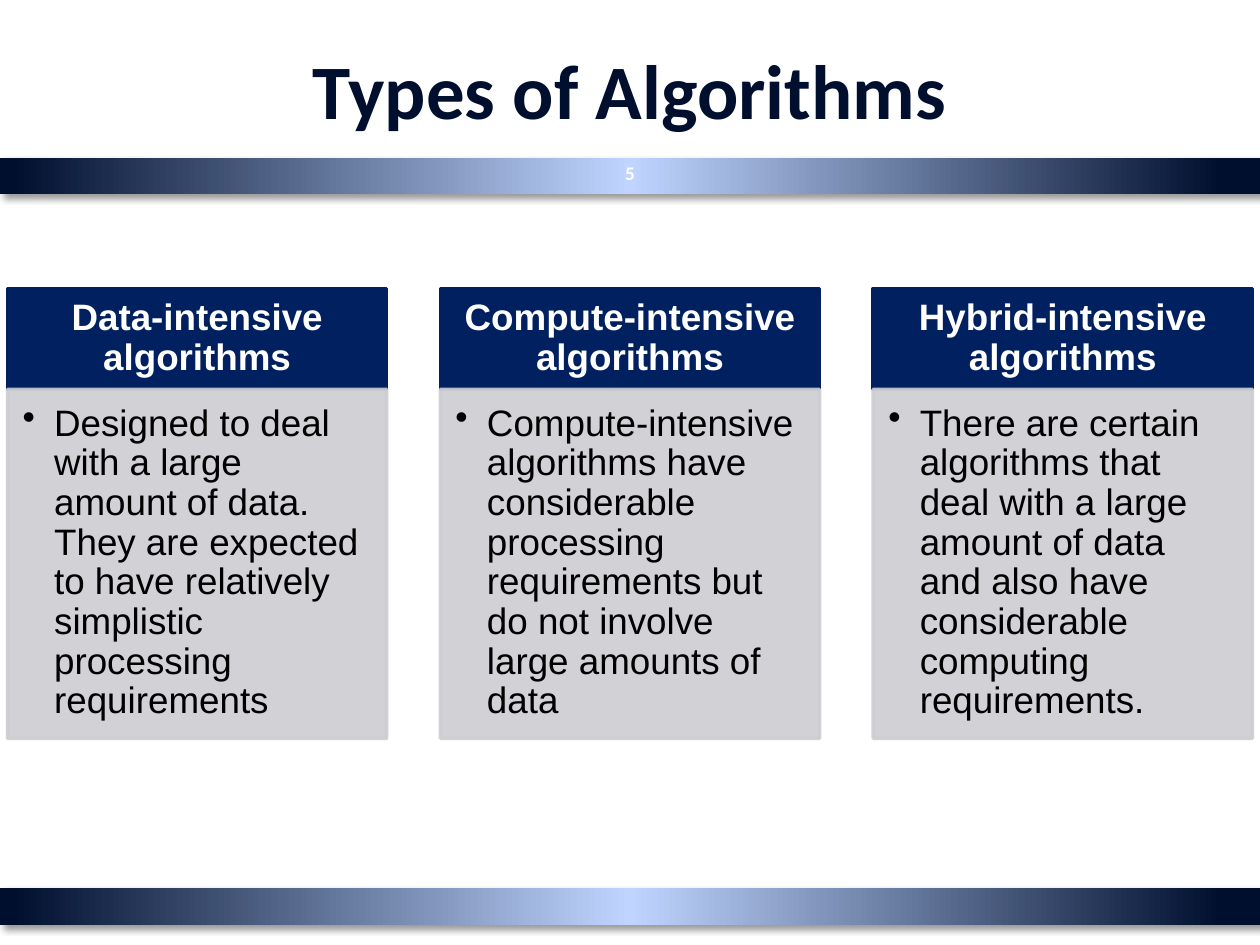
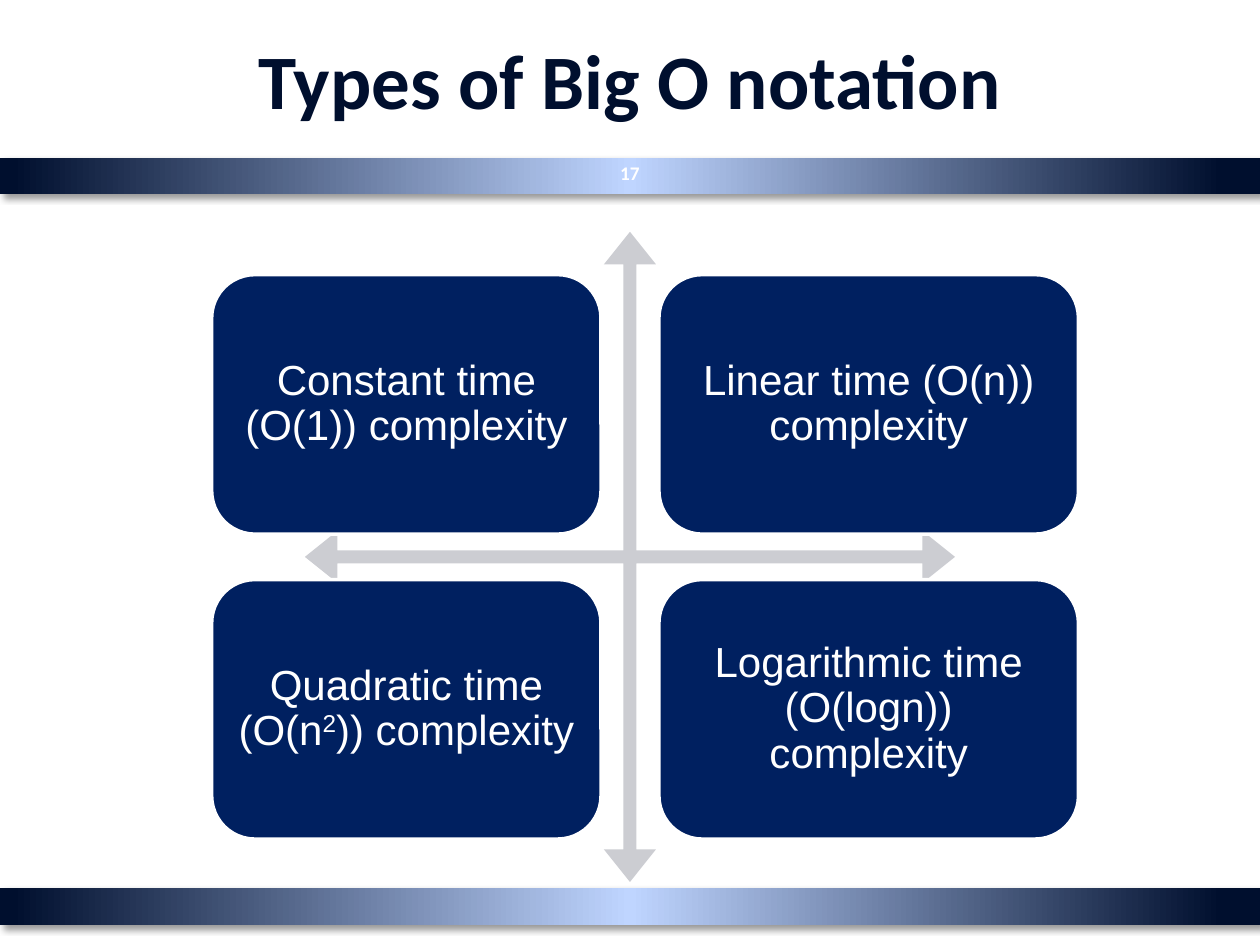
import pptx
import pptx.util
import pptx.dml.color
import pptx.enum.shapes
import pptx.enum.text
import pptx.oxml.ns
from lxml import etree

Inches = pptx.util.Inches
Shape = pptx.enum.shapes.MSO_SHAPE
Align = pptx.enum.text.PP_ALIGN
Anchor = pptx.enum.text.MSO_ANCHOR

NAVY, DARK, PALE = "002060", "000F2E", "BFD5FF"
GREY, WHITE, BLACK = "CCCDD2", "FFFFFF", "000000"
STOPS = [(0, DARK), (3, DARK), (50, PALE), (99, DARK), (100, DARK)]


def color(code):
    """Turn a hex string into a colour."""
    return pptx.dml.color.RGBColor.from_string(code)


def child(node, tag, **attrs):
    """Add a drawing element below a node."""
    attrs = {key: str(val) for key, val in attrs.items()}
    return etree.SubElement(node, pptx.oxml.ns.qn("a:" + tag), attrs)


class Deck:
    """Holds the shared style and the current slide."""

    def __init__(self):
        """Start an empty deck."""
        self.file = pptx.Presentation()
        self.file.slide_width = Inches(10)
        self.file.slide_height = Inches(7.5)
        self.slide = None

    def start(self, title, top, number):
        """Add a slide with its bands, title and page number."""
        self.slide = self.file.slides.add_slide(self.file.slide_layouts[5])
        self.band(7.05)
        self.band(1.25)
        head = self.slide.shapes.title
        head.left, head.top = Inches(0.5), Inches(top)
        head.width, head.height = Inches(9), Inches(1.25)
        self.label(head, title, 44, DARK, "Calibri", bold=True)
        page = self.slide.shapes.add_textbox(
            Inches(4.79), Inches(1.17), Inches(0.42), Inches(0.4))
        self.label(page, number, 11, WHITE, "Calibri", bold=True)

    def shape(self, kind, box, fill=None, line=None):
        """Add a preset shape with a plain fill and outline."""
        item = self.slide.shapes.add_shape(kind, *map(Inches, box))
        item.shadow.inherit = False
        if fill:
            item.fill.solid()
            item.fill.fore_color.rgb = color(fill)
        if line:
            item.line.color.rgb = color(line)
            item.line.width = pptx.util.Pt(2)
        else:
            item.line.fill.background()
        return item

    def band(self, top):
        """Add a full-width gradient band with a soft shadow."""
        item = self.shape(Shape.RECTANGLE, (0, top, 10, 0.29))
        item.fill.gradient()
        item.fill.gradient_angle = 180
        stops = item.element.xpath(".//a:gsLst")[0]
        for old in list(stops):
            stops.remove(old)
        for place, code in STOPS:
            child(child(stops, "gs", pos=place * 1000), "srgbClr", val=code)
        effect = item.element.xpath(".//a:effectLst")[0]
        shade = child(effect, "outerShdw", blurRad=pptx.util.Pt(4),
                      dist=pptx.util.Pt(3), dir=45 * 60000, rotWithShape=0)
        child(child(shade, "srgbClr", val=BLACK), "alpha", val=40000)

    def label(self, item, text, size, ink, face="Arial", bold=False,
              inset=(0.1, 0.05, 0.1, 0.05), space=1.0, bullet=False):
        """Fill a shape with one paragraph; ^marks^ enclose superscripts."""
        frame = item.text_frame
        frame.word_wrap = True
        frame.auto_size = pptx.enum.text.MSO_AUTO_SIZE.NONE
        frame.vertical_anchor = Anchor.TOP if bullet else Anchor.MIDDLE
        (frame.margin_left, frame.margin_top,
         frame.margin_right, frame.margin_bottom) = map(Inches, inset)
        para = frame.paragraphs[0]
        para.alignment = Align.LEFT if bullet else Align.CENTER
        para.line_spacing = space
        if bullet:
            props = para._p.get_or_add_pPr()
            props.set("marL", str(Inches(0.25)))
            props.set("indent", str(Inches(-0.25)))
            child(props, "buChar", char="•")
        font = para.font
        font.name, font.size, font.bold = face, pptx.util.Pt(size), bold
        font.color.rgb = color(ink)
        for index, part in enumerate(text.split("^")):
            run = para.add_run()
            run.text = part
            if index % 2:
                run._r.get_or_add_rPr().set("baseline", "30000")

    def card(self, left, head, body):
        """Add a navy heading box above a grey bulleted box."""
        top = self.shape(Shape.RECTANGLE, (left, 2.29, 3.01, 0.8), NAVY, NAVY)
        self.label(top, head, 21, WHITE, bold=True, space=0.9,
                   inset=(0.16, 0.09, 0.16, 0.09))
        base = self.shape(Shape.RECTANGLE, (left, 3.09, 3.01, 2.77), GREY, GREY)
        for tint in base.element.xpath("./p:spPr//a:srgbClr"):
            child(tint, "alpha", val=90000)
        self.label(base, body, 21, BLACK, space=0.9, bullet=True,
                   inset=(0.12, 0.12, 0.16, 0.18))

    def cross(self, box):
        """Add the thin four-way arrow."""
        item = self.shape(Shape.QUAD_ARROW, box, GREY)
        for index, value in enumerate((0.02, 0.04, 0.05)):
            item.adjustments[index] = value

    def tile(self, box, text):
        """Add a rounded navy tile."""
        item = self.shape(Shape.ROUNDED_RECTANGLE, box, NAVY, WHITE)
        self.label(item, text, 24, WHITE, space=0.9, inset=(0.1,) * 4)


CARDS = [
    ("Data-intensive algorithms",
     "Designed to deal with a large amount of data. They are expected to "
     "have relatively simplistic processing requirements"),
    ("Compute-intensive algorithms",
     "Compute-intensive algorithms have considerable processing "
     "requirements but do not involve large amounts of data"),
    ("Hybrid-intensive algorithms",
     "There are certain algorithms that deal with a large amount of data "
     "and also have considerable computing requirements."),
]
TILES = [
    ("Constant time (O(1)) complexity", "Linear time (O(n)) complexity"),
    ("Quadratic time (O(n^2^)) complexity",
     "Logarithmic time (O(logn)) complexity"),
]

deck = Deck()

deck.start("Types of Algorithms", 0.08, "5")
for col, (head, body) in enumerate(CARDS):
    deck.card(0.06 + col * 3.435, head, body)

deck.start("Types of Big O notation", 0, "17")
deck.cross((2.42, 1.84, 5.16, 5.16))
for row, texts in enumerate(TILES):
    for (left, width), text in zip(((1.68, 3.09), (5.23, 3.33)), texts):
        deck.tile((left, 2.18 + row * 2.42, width, 2.06), text)

deck.file.save("out.pptx")
